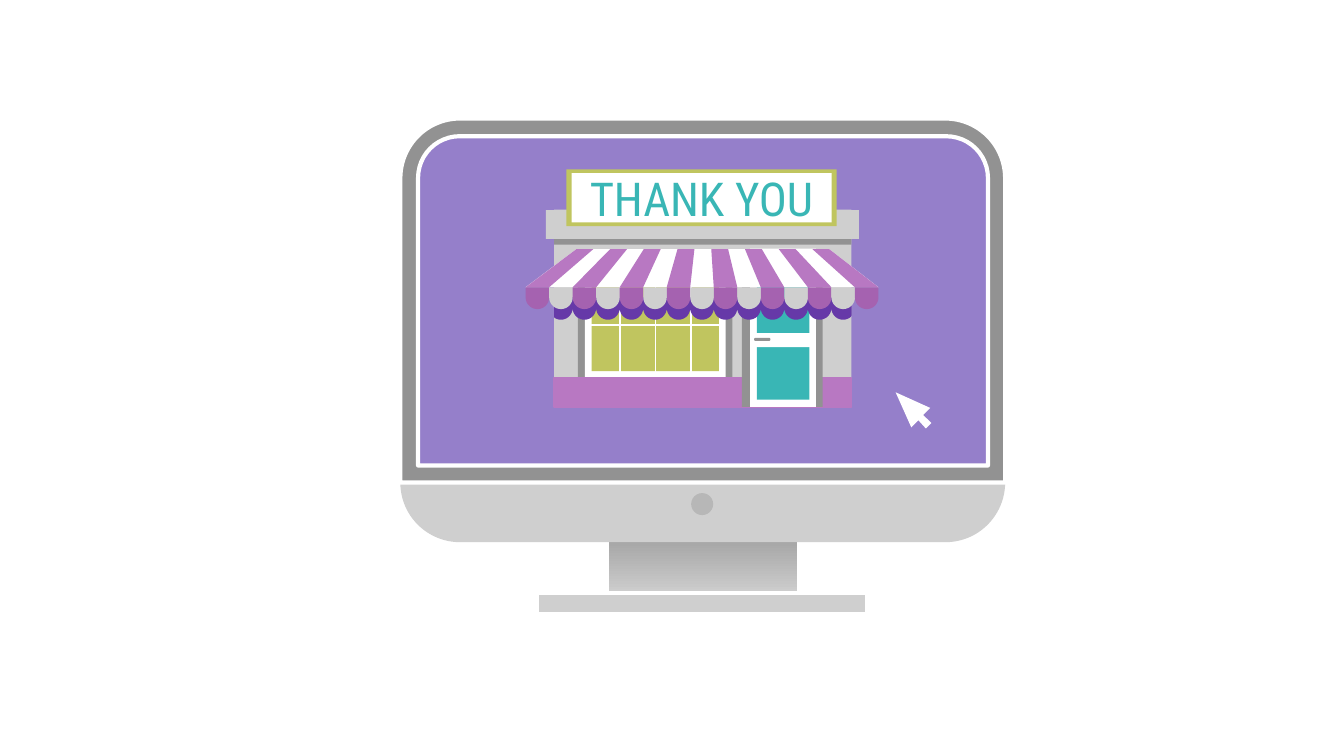
from math import cos, radians, sin

from lxml import etree
from pptx import Presentation
from pptx import util as u
from pptx.dml.color import RGBColor
from pptx.enum import shapes, text
from pptx.oxml.ns import qn

Kind = shapes.MSO_SHAPE
WHITE, SILVER, GREY = "FFFFFF", "CFCFCF", "929292"
ORCHID, PLUM, VIOLET, LILAC = "B878C2", "A562B0", "6639A8", "957FCA"
LIME, TEAL = "C0C55F", "39B6B5"

COUNT = 15                  # awning stripes
EAVE, PITCH = 281.6, 12.6   # left end and width of the stripes at the bottom
RIDGE, STEP = 308.9, 9.02   # the same at the top


def color(code):
    return RGBColor.from_string(code)


def write(shape, words, size, font, ink, align=text.PP_ALIGN.CENTER, pad=7.2):
    frame = shape.text_frame
    frame.word_wrap = True
    frame.auto_size = text.MSO_AUTO_SIZE.NONE
    frame.vertical_anchor = text.MSO_ANCHOR.MIDDLE
    frame.margin_left = frame.margin_right = u.Pt(pad)
    frame.margin_top = frame.margin_bottom = u.Pt(pad)
    para = frame.paragraphs[0]
    para.alignment = align
    run = para.add_run()
    run.text = words
    run.font.size, run.font.name = u.Pt(size), font
    run.font.color.rgb = color(ink)


def scallop(left, right, base):
    """Points along the round hem from left to right, in line with the stripes."""
    half = PITCH / 2
    for i in range(COUNT):
        mid = EAVE + PITCH * i + half
        if mid + half <= left + 0.1 or mid - half >= right - 0.1:
            continue
        for turn in range(0, 181, 10):
            x = mid - half * cos(radians(turn))
            yield min(max(x, left), right), base + half * sin(radians(turn))


class Scene:
    def __init__(self, slide, font):
        self.slide, self.font = slide, font
        self.items = slide.shapes

    def paint(self, shape, fill, line=None, width=0.75):
        shape.shadow.inherit = False
        shape.fill.solid()
        shape.fill.fore_color.rgb = color(fill)
        if line:
            shape.line.color.rgb = color(line)
            shape.line.width = u.Pt(width)
        else:
            shape.line.fill.background()
        return shape

    def block(self, x, y, w, h, fill, kind=Kind.RECTANGLE, round=None, **line):
        """Preset shape; round is the corner radius in points."""
        shape = self.items.add_shape(kind, u.Pt(x), u.Pt(y), u.Pt(w), u.Pt(h))
        if round:
            shape.adjustments[0] = round / min(w, h)
        return self.paint(shape, fill, **line)

    def fade(self, x, y, w, h, top, end):
        """Rectangle shaded from top to bottom."""
        fill = self.block(x, y, w, h, top).fill
        fill.gradient()
        fill.gradient_angle = 270
        for stop, code in zip(fill.gradient_stops, (top, end)):
            stop.color.rgb = color(code)

    def outline(self, points, fill):
        spots = [(u.Pt(x), u.Pt(y)) for x, y in points]
        build = self.items.build_freeform(*spots[0])
        build.add_line_segments(spots[1:], close=True)
        return self.paint(build.convert_to_shape(), fill)

    def line(self, x1, y1, x2, y2, ink, width):
        link = self.items.add_connector(
            shapes.MSO_CONNECTOR.STRAIGHT, u.Pt(x1), u.Pt(y1), u.Pt(x2), u.Pt(y2))
        link.line.color.rgb = color(ink)
        link.line.width = u.Pt(width)
        etree.SubElement(link._element.spPr, qn("a:effectLst"))

    def title(self, words, x, y, w, h, size, ink):
        """Place the title and bring it to the front."""
        shape = self.items.title
        shape.left, shape.top = u.Pt(x), u.Pt(y)
        shape.width, shape.height = u.Pt(w), u.Pt(h)
        write(shape, words, size, self.font, ink)
        node = shape._element
        node.getparent().append(node)


def screen(scene):
    scene.fade(326, 276, 101, 52, "919191", "DDDDDD")
    scene.block(287.5, 317.5, 177, 11.5, SILVER, line=WHITE, width=2.25)
    scene.block(214.5, 63.5, 324, 227, SILVER, Kind.ROUNDED_RECTANGLE, 32)
    dome = Kind.ROUND_2_SAME_RECTANGLE
    scene.block(214.5, 63.5, 324, 195, GREY, dome, 32, line=WHITE, width=2.25)
    scene.block(224, 73, 305.3, 176.4, LILAC, dome, 22.3, line=WHITE, width=2.25)
    scene.block(370.3, 264.2, 11.8, 11.8, "B7B7B7", Kind.OVAL)


def shop(scene):
    scene.block(296.8, 112.3, 159.4, 105.7, SILVER)
    # window
    scene.block(309.6, 141.8, 82.8, 64.1, GREY)
    scene.block(313.3, 145.5, 75.5, 57, WHITE)
    scene.block(317, 149.5, 68.2, 49.4, LIME)
    scene.line(314.8, 174.2, 387.4, 174.2, WHITE, 0.85)
    for x in (332.1, 351.2, 370.3):
        scene.line(x, 143.5, x, 201.5, WHITE, 0.85)
    scene.block(296.8, 202.6, 159.4, 15.4, ORCHID, line=ORCHID)
    # door
    scene.block(397.5, 134.8, 43.2, 83.2, GREY)
    scene.block(401.9, 133.2, 35.2, 84.8, WHITE)
    scene.block(405.5, 137, 28.1, 77.2, TEAL)
    # shade under the awning
    left, right = 296.8, 456.2
    scene.outline([(left, 159.3), *scallop(left, right, 165), (right, 159.3)], VIOLET)
    scene.block(401.9, 178.5, 35.2, 7.5, WHITE)
    scene.block(404, 181, 8.8, 1.7, GREY, Kind.ROUNDED_RECTANGLE, 0.8)
    # roof
    scene.block(296.8, 118.1, 159.4, 13, GREY)
    scene.block(292.5, 112.5, 167.7, 15.5, SILVER)


def awning(scene):
    top, fold = 133.4, 153.9

    def panel(start, end, fill):
        scene.outline([(RIDGE + STEP * start, top), (EAVE + PITCH * start, fold),
                       (EAVE + PITCH * end, fold), (RIDGE + STEP * end, top)], fill)

    panel(0, COUNT, WHITE)
    for i in range(0, COUNT, 2):
        panel(i, i + 1, ORCHID)
    for i in range(COUNT):
        left, right = EAVE + PITCH * i, EAVE + PITCH * (i + 1)
        scene.outline([(left, fold), *scallop(left, right, 159.3), (right, fold)],
                      SILVER if i % 2 else PLUM)


def main():
    deck = Presentation()
    deck.slide_width, deck.slide_height = u.Pt(720), u.Pt(405)
    scene = Scene(deck.slides.add_slide(deck.slide_layouts[5]), "Roboto Condensed")
    screen(scene)
    shop(scene)
    scene.block(303.4, 90.8, 144.8, 30.4, LIME)
    scene.block(306.3, 92.8, 139.3, 26.4, WHITE)
    awning(scene)
    scene.outline([(479.8, 210.2), (488.2, 229), (492, 225.2), (496, 229.6),
                   (499, 226.7), (494.6, 222.4), (498.4, 218.6)], WHITE)
    scene.title("THANK YOU", 303.4, 91.6, 144.8, 28.3, 25, TEAL)
    deck.save("out.pptx")


if __name__ == "__main__":
    main()
